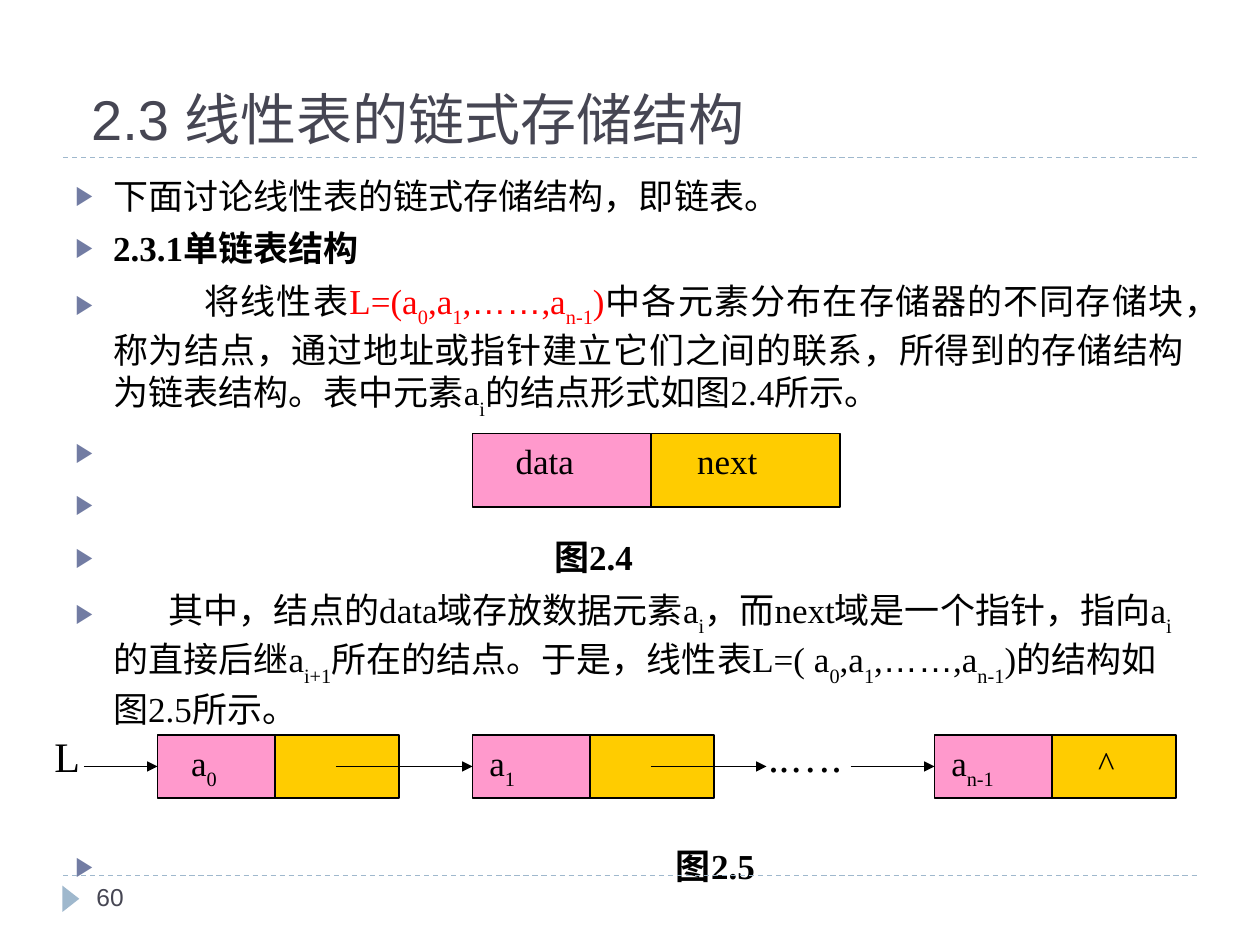
from lxml import etree
from pptx import Presentation
from pptx import util as u
from pptx.dml.color import RGBColor
from pptx.enum import dml, shapes, text
from pptx.oxml import ns

HEX = {"ink": "000000", "title": "464653", "rule": "9FB8CD", "bullet": "727CA3",
       "formula": "FF0000", "data": "FF99CC", "next": "FFCC00"}
COLOR = {name: RGBColor.from_string(value) for name, value in HEX.items()}
SERIF, SANS = "Times New Roman", "Arial"

deck = Presentation()
deck.slide_width, deck.slide_height = u.Inches(10), u.Inches(7.5)
slide = deck.slides.add_slide(deck.slide_layouts[6])
CELL = deck.slide_width / 120


def grid(*cells):
    return [u.Emu(round(cell * CELL)) for cell in cells]


def write(paragraph, content, size=20, color="ink", face=SERIF, bold=False):
    for i, part in enumerate(content.split("|")):
        run = paragraph.add_run()
        run.text = part
        style = {"size": u.Pt(size), "bold": bold,
                 "name": SANS if part == "……" else face}
        for key, value in style.items():
            setattr(run.font, key, value)
        run.font.color.rgb = COLOR[color]
        if i % 2 and part != "……":
            run._r.get_or_add_rPr().set("baseline", "-30000")


rules = [((6, 83.4), (114, 83.4), "rule"), ((6, 15), (114, 15), "rule")]
arrows = [((start, 73), (end, 73), "ink")
          for start, end in [(8, 15), (32, 45), (62, 73), (81, 89)]]

nodes = [(45, 41.3, 18, 7, "data", "data", 2.9), (62, 41.3, 18, 7, "next", "next", 3.2)]
for left, label, inset, pointer in [(15, "a|0", 2, ""), (45, "a|1", 0.4, ""),
                                    (89, "a|n-1", 0.4, "^")]:
    nodes += [(left, 70, 11.8, 6, "data", label, inset),
              (left + 11.2, 70, 11.8, 6, "next", pointer, 3.2)]

marker = slide.shapes.add_shape(shapes.MSO_SHAPE.ISOSCELES_TRIANGLE, *grid(5.5, 84.8, 2.5, 1.6))
marker.rotation = 90
marker.shadow.inherit = False
marker.fill.solid()
marker.fill.fore_color.rgb = COLOR["rule"]
marker.line.fill.background()

body = slide.shapes.add_textbox(*grid(6, 16, 108, 64.4)).text_frame
body.word_wrap = True
BULLET = [("a:buClr", {}), ("a:buSzPct", {"val": "76000"}),
          ("a:buFont", {"typeface": SANS}), ("a:buChar", {"char": "▶"})]
JUSTIFY, LEFT = text.PP_ALIGN.JUSTIFY, text.PP_ALIGN.LEFT
points = [
    ([("下面讨论线性表的链式存储结构，即链表。", "ink")], JUSTIFY, False, 3.6, None, 0),
    ([("2.3.1单链表结构", "ink")], JUSTIFY, True, 3.6, None, 6),
    ([("\t将线性表", "ink"), ("L=(a|0|,a|1|,|……|,a|n-1|)", "formula"),
      ("中各元素分布在存储器的不同存储块，称为结点，通过地址或指针建立它们之间的联系，"
       "所得到的存储结构为链表结构。表中元素a|i|的结点形式如图2.4所示。", "ink")],
     JUSTIFY, False, 3.6, 12.2, 6),
    ([(" ", "ink")], LEFT, False, 3.6, None, 6),
    ([(" ", "ink")], LEFT, False, 3.6, None, 6),
    ([("图2.4", "ink")], LEFT, True, 45.6, None, 6),
    ([("\t其中，结点的data域存放数据元素a|i|，而next域是一个指针，指向a|i|的直接后继a|i+1|"
       "所在的结点。于是，线性表L=( a|0|,a|1|,|……|,a|n-1|)的结构如图2.5所示。", "ink")],
     LEFT, False, 3.6, 8.9, 6),
    ([("图2.5", "ink")], LEFT, True, 57.2, None, 66),
]
for i, (pieces, align, bold, indent, tab, gap) in enumerate(points):
    paragraph = body.add_paragraph() if i else body.paragraphs[0]
    paragraph.alignment, paragraph.space_before = align, u.Pt(gap)
    props = paragraph._p.get_or_add_pPr()
    hang = grid(indent)[0]
    props.set("marL", str(hang))
    props.set("indent", str(-hang))
    for tag, attrs in BULLET:
        mark = etree.SubElement(props, ns.qn(tag), attrs)
        if tag == "a:buClr":
            etree.SubElement(mark, ns.qn("a:srgbClr"), val=HEX["bullet"])
    if tab:
        stops = etree.SubElement(props, ns.qn("a:tabLst"))
        etree.SubElement(stops, ns.qn("a:tab"), pos=str(grid(tab)[0]), algn="l")
    for content, color in pieces:
        write(paragraph, content, color=color, bold=bold)

for left, top, width, height, fill, label, inset in nodes:
    node = slide.shapes.add_shape(shapes.MSO_SHAPE.RECTANGLE, *grid(left, top, width, height))
    node.shadow.inherit = False
    node.fill.solid()
    node.fill.fore_color.rgb = COLOR[fill]
    node.line.color.rgb, node.line.width = COLOR["ink"], u.Pt(0.75)
    if label:
        frame = node.text_frame
        frame.vertical_anchor = text.MSO_ANCHOR.TOP
        frame.margin_left = grid(1.2 + inset)[0]
        frame.paragraphs[0].alignment = LEFT
        write(frame.paragraphs[0], label)

for start, end, color in rules + arrows:
    stroke = slide.shapes.add_connector(shapes.MSO_CONNECTOR.STRAIGHT, *grid(*start, *end))
    stroke.line.color.rgb, stroke.line.width = COLOR[color], u.Pt(0.75)
    if color == "rule":
        stroke.line.dash_style = dml.MSO_LINE.DASH
    else:
        etree.SubElement(stroke.line._get_or_add_ln(), ns.qn("a:tailEnd"), type="triangle")
    etree.SubElement(stroke._element.spPr, ns.qn("a:effectLst"))

BOTTOM, TOP = text.MSO_ANCHOR.BOTTOM, text.MSO_ANCHOR.TOP
captions = [((7.5, 2, 106.5, 13), "2.3 线性表的链式存储结构", 32, "title", SANS, BOTTOM),
            ((4, 69, 5, 6), "L", 24, "ink", SERIF, TOP),
            ((72, 69, 10, 6), "..….", 24, "ink", SERIF, TOP),
            ((8, 83.4, 26, 4.8), "60", 14, "title", SANS, TOP)]
for place, content, size, color, face, anchor in captions:
    frame = slide.shapes.add_textbox(*grid(*place)).text_frame
    frame.word_wrap, frame.vertical_anchor = True, anchor
    write(frame.paragraphs[0], content, size, color, face)

deck.save("out.pptx")
